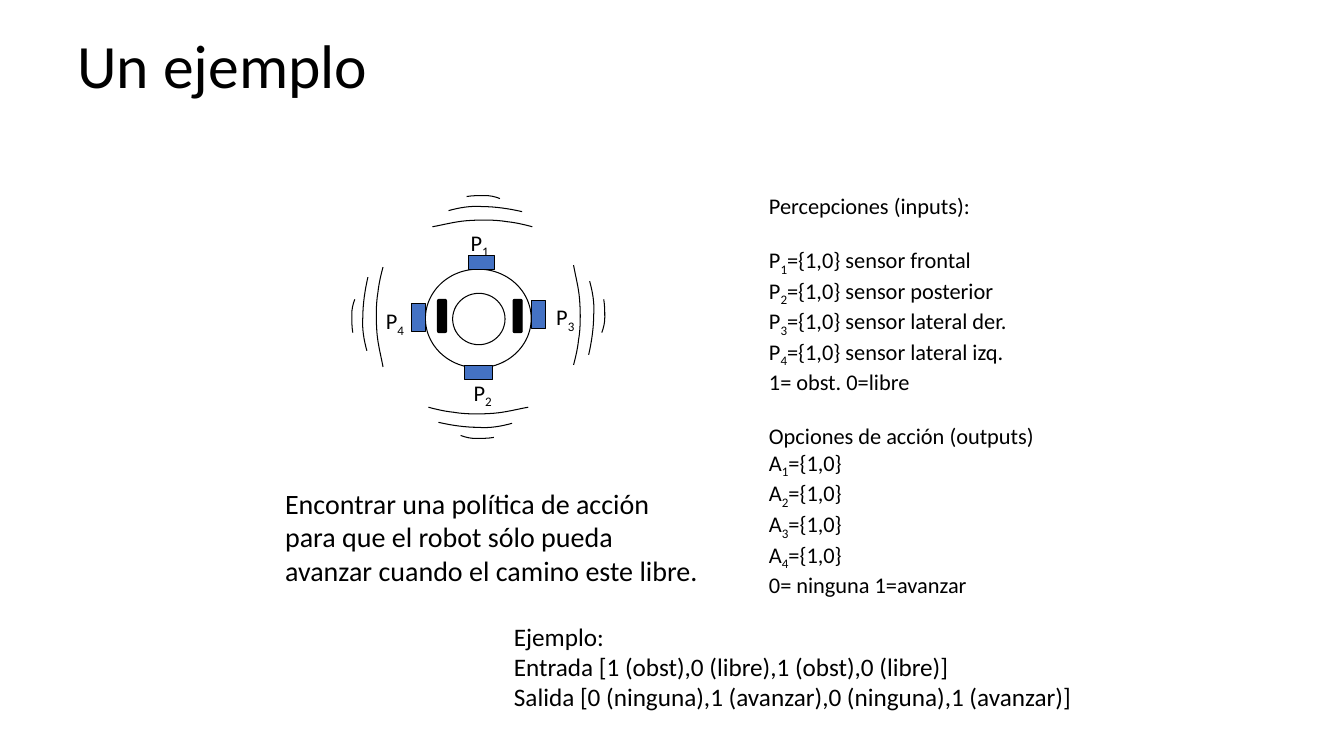
import lxml.etree
import pptx
import pptx.dml.color
import pptx.enum.shapes
import pptx.enum.text
import pptx.oxml.ns
import pptx.util

COLORS = {"ink": "000000", "sensor": "4472C4"}
FONT = "Calibri"
CELL = pptx.util.Inches(0.1)  # the slide is a grid of 133.33 by 75 cells
SHAPES = pptx.enum.shapes.MSO_SHAPE

deck = pptx.Presentation()
deck.slide_width = round(133.33 * CELL)
deck.slide_height = 75 * CELL
slide = deck.slides.add_slide(deck.slide_layouts[6])


def write(lines, left, top, width, height, size, gap_before=()):
    """Write one paragraph per line; the character after "_" is a subscript."""
    box = slide.shapes.add_textbox(*(round(cells * CELL) for cells in (left, top, width, height)))
    frame = box.text_frame
    frame.word_wrap = True
    frame.auto_size = pptx.enum.text.MSO_AUTO_SIZE.SHAPE_TO_FIT_TEXT
    for index, line in enumerate(lines):
        paragraph = frame.paragraphs[0] if index == 0 else frame.add_paragraph()
        paragraph.font.size = pptx.util.Pt(size)
        paragraph.font.name = FONT
        paragraph.font.color.rgb = pptx.dml.color.RGBColor.from_string(COLORS["ink"])
        if index in gap_before:
            paragraph.space_before = pptx.util.Pt(size * 1.2)
        base, *marked = line.split("_")
        paragraph.add_run().text = base
        for part in marked:
            subscript = paragraph.add_run()
            subscript.text = part[0]
            subscript._r.get_or_add_rPr().set("baseline", "-25000")
            if part[1:]:
                paragraph.add_run().text = part[1:]
    return frame


def draw(shape, fill=None):
    """Give a robot part its thin outline and optional fill."""
    shape.shadow.inherit = False
    shape.line.color.rgb = pptx.dml.color.RGBColor.from_string(COLORS["ink"])
    shape.line.width = pptx.util.Pt(0.75)
    if fill:
        shape.fill.solid()
        shape.fill.fore_color.rgb = pptx.dml.color.RGBColor.from_string(COLORS[fill])
    else:
        shape.fill.background()


title = write(["Un ejemplo"], 6.7, 3, 120, 12.5, 44)
title.auto_size = pptx.enum.text.MSO_AUTO_SIZE.NONE
title.paragraphs[0].line_spacing = 0.9

percepts = ["frontal", "posterior", "lateral der.", "lateral izq."]
percept_lines = [f"P_{n}={{1,0}} sensor {place}" for n, place in enumerate(percepts, 1)]
action_lines = [f"A_{n}={{1,0}}" for n in range(1, 5)]
write(["Percepciones (inputs):", *percept_lines, "1= obst. 0=libre",
       "Opciones de acción (outputs)", *action_lines, "0= ninguna 1=avanzar"],
      75.3, 18.6, 33.9, 38.7, 16, gap_before=(1, 6))

# Robot body
body = slide.shapes.add_shape(
    SHAPES.OVAL, *(round(cells * CELL) for cells in (42.2, 26.7, 10.5, 9.8)))
draw(body)

# Bezier control points of the waves, in cells from their hub beside the sensor
waves = [
    [(-4.8, -3.5), (-3.7, -3.7), (-2.6, -4), (-1.4, -4.1), (-0.1, -4.2),
     (1.5, -4.2), (2.6, -4), (3.7, -3.9), (5.1, -3.5), (5.1, -3.5)],
    [(-3.2, -5.1), (-2.1, -5.4), (-1, -5.6), (0.2, -5.5), (1.4, -5.5), (2.8, -5.3), (4.1, -5)],
    [(-1.4, -6.5), (-0.8, -6.6), (-0.2, -6.6), (0.4, -6.6), (0.9, -6.6), (1.4, -6.5), (1.9, -6.3)],
]
# Sensor centre, wave hub, sensor length, angle, and cosine and sine of that angle
sensors = [
    ((47.75, 26.05), (47.7, 26), 2.6, 0, 1, 0),
    ((47.5, 36.95), (47.6, 36.9), 2.8, 180, -1, 0),
    ((53.45, 31.2), (53.4, 31.1), 2.8, 90, 0, 1),
    ((41.5, 31.5), (41.5, 31.6), 2.8, 270, 0, -1),
]
for (center_x, center_y), (hub_x, hub_y), length, angle, cos, sin in sensors:
    sensor = slide.shapes.add_shape(
        SHAPES.RECTANGLE,
        *(round(cells * CELL) for cells in (center_x - length / 2, center_y - 0.7, length, 1.4)))
    sensor.rotation = angle
    draw(sensor, "sensor")
    for wave in waves:
        outline = [(round((hub_x + x * cos - y * sin) * CELL),
                    round((hub_y + x * sin + y * cos) * CELL)) for x, y in wave]
        builder = slide.shapes.build_freeform(*outline[0])
        builder.add_line_segments(outline[1:], close=False)
        arc = builder.convert_to_shape()
        # Join every three straight segments into one Bezier curve
        segments = list(arc._element.iter(pptx.oxml.ns.qn("a:lnTo")))
        for start in range(0, len(segments), 3):
            curve = lxml.etree.SubElement(
                segments[start].getparent(), pptx.oxml.ns.qn("a:cubicBezTo"))
            for segment in segments[start:start + 3]:
                curve.append(segment[0])
                segment.getparent().remove(segment)
        draw(arc)

# Inner disc and wheels
for kind, left, top, width, height, fill in [
    (SHAPES.OVAL, 44.9, 29.1, 5.2, 5.1, None),
    (SHAPES.ROUNDED_RECTANGLE, 50.9, 29.7, 0.9, 3.3, "ink"),
    (SHAPES.ROUNDED_RECTANGLE, 43.4, 29.7, 0.9, 3.3, "ink"),
]:
    part = slide.shapes.add_shape(
        kind, *(round(cells * CELL) for cells in (left, top, width, height)))
    draw(part, fill)

for number, (left, top) in enumerate([(45.7, 22.2), (46, 37.1), (54.2, 29.6), (37.3, 30)], 1):
    write([f"P_{number}"], left, top, 4.3, 3.7, 16)

write(["Encontrar una política de acción para que el robot sólo pueda "
       "avanzar cuando el camino este libre."], 27.3, 47.75, 43.3, 11.1, 20)
write(["Ejemplo:",
       "Entrada [1 (obst),0 (libre),1 (obst),0 (libre)]",
       "Salida [0 (ninguna),1 (avanzar),0 (ninguna),1 (avanzar)]"], 50, 61.1, 62.6, 10.1, 18)

deck.save("out.pptx")
